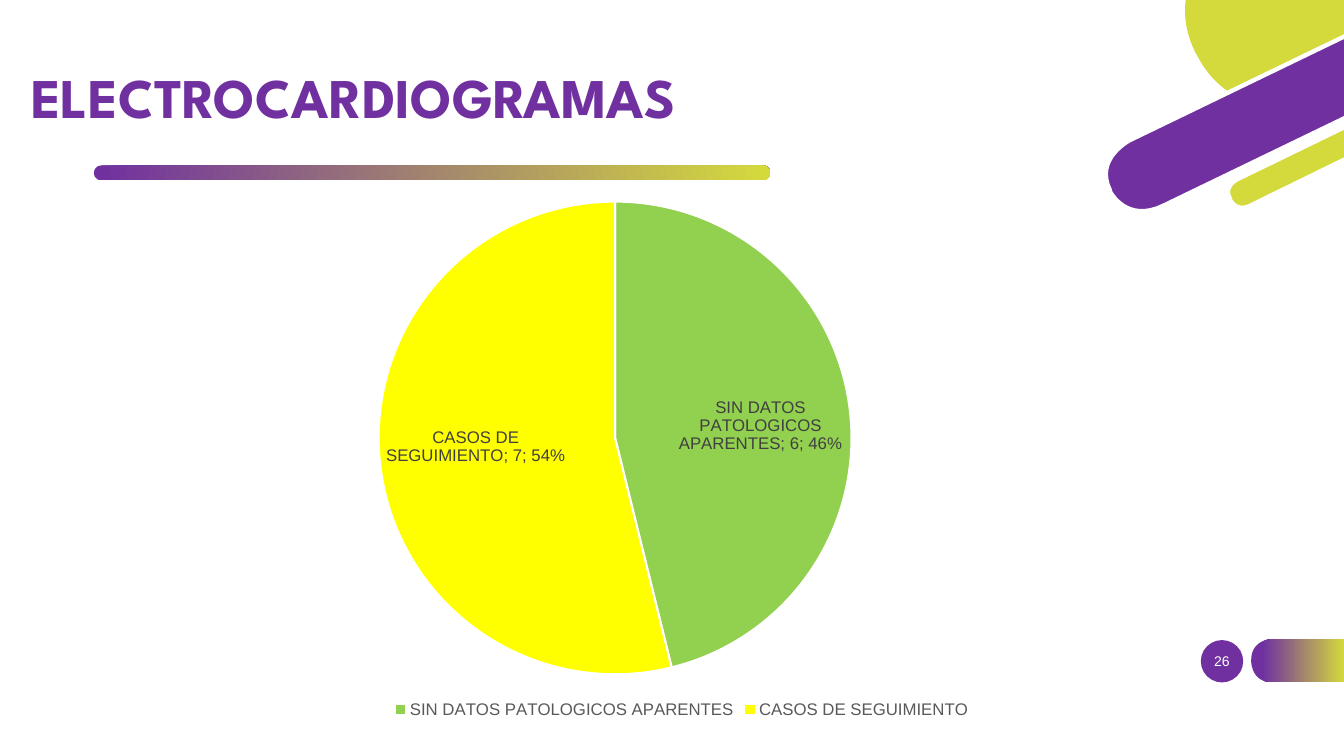
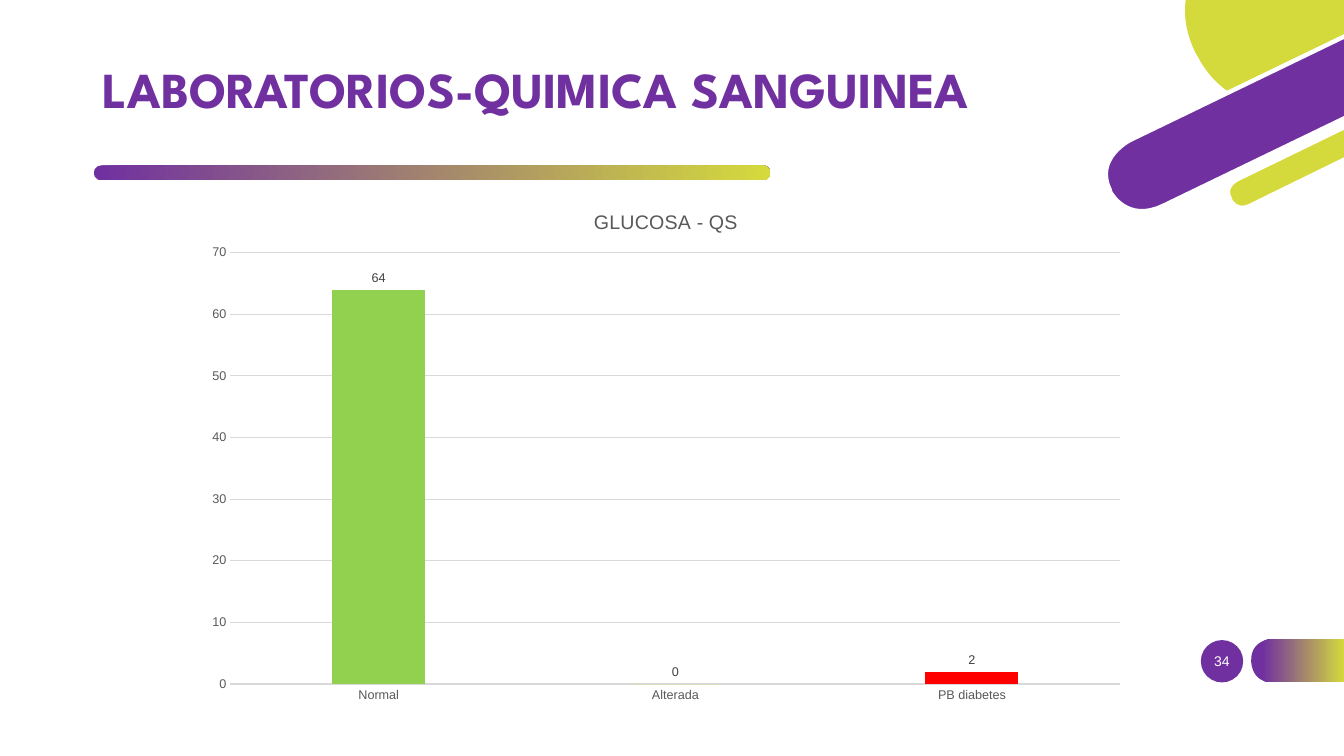
from pptx import Presentation
from pptx.chart.data import CategoryChartData
from pptx.dml.color import RGBColor
from pptx.enum.chart import (XL_CHART_TYPE, XL_LABEL_POSITION, XL_LEGEND_POSITION,
                             XL_TICK_MARK)
from pptx.enum.shapes import MSO_SHAPE
from pptx.enum.text import MSO_ANCHOR, PP_ALIGN
from pptx.oxml import parse_xml
from pptx.oxml.ns import nsdecls, qn
from pptx.util import Inches, Pt

PURPLE = RGBColor(0x70, 0x30, 0xA0)
LIME = RGBColor(0xD5, 0xDA, 0x3C)
WHITE = RGBColor(0xFF, 0xFF, 0xFF)
GREEN = RGBColor(0x92, 0xD0, 0x50)
YELLOW = RGBColor(0xFF, 0xFF, 0x00)
RED = RGBColor(0xFF, 0x00, 0x00)
LABEL_GRAY = RGBColor(0x40, 0x40, 0x40)
TEXT_GRAY = RGBColor(0x59, 0x59, 0x59)
GRID_GRAY = RGBColor(0xD9, 0xD9, 0xD9)

TITLE_FONT = "League Spartan"
BODY_FONT = "Arial"

PIE = XL_CHART_TYPE.PIE
COLUMNS = XL_CHART_TYPE.COLUMN_CLUSTERED
BEST_FIT = XL_LABEL_POSITION.BEST_FIT
OUTSIDE_END = XL_LABEL_POSITION.OUTSIDE_END
LEGEND_BOTTOM = XL_LEGEND_POSITION.BOTTOM
NO_TICK = XL_TICK_MARK.NONE
ELLIPSE = MSO_SHAPE.OVAL
ROUNDED = MSO_SHAPE.ROUNDED_RECTANGLE
MIDDLE = MSO_ANCHOR.MIDDLE
CENTER = PP_ALIGN.CENTER

CURVE_STEPS = 16

# Outlines in inches: pairs are line ends, sextuples are cubic curves.
CORNER_DISC = [(0.88, 0.56), (0.88, 0.56, 0.97, 0.76, 1.17, 0.9), (2.33, 0.34), (2.33, 0),
               (0.76, 0), (0.74, 0.15, 0.76, 0.33, 0.86, 0.53)]
WIDE_BAR = [(0.21, 1.39), (0.21, 1.39, -0.15, 1.57, 0.01, 1.89), (0.01, 1.9),
            (0.01, 1.9, 0.17, 2.22, 0.54, 2.04), (2.36, 1.16), (2.36, 0.35)]
NARROW_BAR = [(2.36, 1.25), (1.27, 1.78), (1.27, 1.78, 1.13, 1.85, 1.2, 1.97), (1.2, 1.98),
              (1.2, 1.98, 1.26, 2.11, 1.4, 2.04), (2.36, 1.57)]
EDGE_TAB = [(0.21, 0.43), (0.93, 0.43), (0.93, 0), (0.21, 0), (0.21, 0, 0, 0, 0, 0.21),
            (0, 0.22), (0, 0.22, 0, 0.43, 0.21, 0.43)]


def flatten(outline):
    """Turn the cubic curves of an outline into short straight steps."""
    points = []
    for part in outline:
        if len(part) == 2:
            points.append(part)
            continue
        start, controls = points[-1], (part[0:2], part[2:4], part[4:6])
        for step in range(1, CURVE_STEPS + 1):
            t = step / CURVE_STEPS
            weights = ((1 - t) ** 3, 3 * t * (1 - t) ** 2, 3 * t * t * (1 - t), t ** 3)
            points.append(tuple(
                sum(w * p[axis] for w, p in zip(weights, (start, *controls)))
                for axis in (0, 1)))
    return points


def add_outline(slide, left, top, outline):
    points = [(Inches(left + x), Inches(top + y)) for x, y in flatten(outline)]
    builder = slide.shapes.build_freeform(*points[0], scale=1.0)
    builder.add_line_segments(points[1:], close=True)
    shape = builder.convert_to_shape()
    shape.shadow.inherit = False
    shape.line.fill.background()
    return shape


def paint_solid(fill, color):
    fill.solid()
    fill.fore_color.rgb = color


def paint_gradient(fill, start=0.0):
    """Purple to lime, left to right."""
    fill.gradient()
    fill.gradient_angle = 0
    for stop, position, color in zip(fill.gradient_stops, (start, 1.0), (PURPLE, LIME)):
        stop.position = position
        stop.color.rgb = color


def style_font(font, size, color):
    font.name = BODY_FONT
    font.size = Pt(size)
    font.bold = False
    font.color.rgb = color


def add_corner(slide, left, top):
    disc = add_outline(slide, left, top, CORNER_DISC)
    paint_solid(disc.fill, LIME)
    for outline, color in ((WIDE_BAR, PURPLE), (NARROW_BAR, LIME)):
        bar = add_outline(slide, left, top, outline)
        paint_solid(bar.fill, color)
        paint_solid(bar.line.fill, WHITE)
        bar.line.width = Pt(3)


def add_underline(slide, left, top, width, height):
    underline = slide.shapes.add_shape(
        ROUNDED, Inches(left), Inches(top), Inches(width), Inches(height))
    underline.adjustments[0] = 0.5
    underline.shadow.inherit = False
    underline.line.fill.background()
    paint_gradient(underline.fill)


def add_page_mark(slide, left, top, number):
    badge = slide.shapes.add_shape(
        ELLIPSE, Inches(left), Inches(top), Inches(0.42), Inches(0.42))
    badge.shadow.inherit = False
    badge.line.fill.background()
    paint_solid(badge.fill, PURPLE)
    frame = badge.text_frame
    frame.margin_left = frame.margin_right = frame.margin_top = frame.margin_bottom = 0
    frame.vertical_anchor = MIDDLE
    frame.word_wrap = False
    paragraph = frame.paragraphs[0]
    paragraph.alignment = CENTER
    run = paragraph.add_run()
    run.text = str(number)
    style_font(run.font, 10, WHITE)
    tab = add_outline(slide, left + 0.5, top - 0.01, EDGE_TAB)
    paint_gradient(tab.fill, 0.12)


def add_title(slide, left, top, text, size):
    box = slide.shapes.add_textbox(Inches(left), Inches(top), Inches(9.9), Inches(1.03))
    frame = box.text_frame
    frame.word_wrap = True
    frame.vertical_anchor = MIDDLE
    paragraph = frame.paragraphs[0]
    paragraph.line_spacing = 0.9
    run = paragraph.add_run()
    run.text = text
    run.font.name = TITLE_FONT
    run.font.size = Pt(size)
    run.font.bold = True
    paint_gradient(run.font.fill)


def add_base_slide(deck, number):
    slide = deck.slides.add_slide(deck.slide_layouts[6])
    add_corner(slide, 11, 0)
    add_underline(slide, 0.93, 1.64, 6.71, 0.15)
    add_page_mark(slide, 11.91, 6.35, number)
    return slide


def set_plot_box(chart, x, y, width, height):
    """Fix the inner plot area, in fractions of the chart."""
    plot_area = chart._chartSpace.chart.plotArea
    for layout in plot_area.findall(qn("c:layout")):
        plot_area.remove(layout)
    sizes = "".join(f'<c:{tag} val="{value}"/>' for tag, value in
                    zip("xywh", (x, y, width, height)))
    plot_area.insert(0, parse_xml(
        f'<c:layout {nsdecls("c")}><c:manualLayout><c:layoutTarget val="inner"/>'
        f'<c:xMode val="edge"/><c:yMode val="edge"/>{sizes}</c:manualLayout></c:layout>'))


def add_one_series_chart(slide, kind, box, counts, colors, label_size, label_position):
    data = CategoryChartData()
    data.categories = list(counts)
    data.add_series("Series 1", list(counts.values()))
    chart = slide.shapes.add_chart(kind, *map(Inches, box), data).chart
    style_font(chart.font, label_size, TEXT_GRAY)
    series = chart.plots[0].series[0]
    for index, color in enumerate(colors):
        paint_solid(series.points[index].format.fill, color)
    labels = series.data_labels
    style_font(labels.font, label_size, LABEL_GRAY)
    labels.show_value = True
    labels.position = label_position
    return chart


def add_pie(slide, box, counts, colors):
    chart = add_one_series_chart(slide, PIE, box, counts, colors, 12, BEST_FIT)
    chart.has_title = False
    chart.has_legend = True
    chart.legend.position = LEGEND_BOTTOM
    chart.legend.include_in_layout = False
    style_font(chart.legend.font, 12, TEXT_GRAY)
    chart.plots[0].vary_by_categories = True
    series = chart.plots[0].series[0]
    for index in range(len(counts)):
        border = series.points[index].format.line
        paint_solid(border.fill, WHITE)
        border.width = Pt(1.5)
    labels = series.data_labels
    labels.show_category_name = True
    labels.show_percentage = True
    labels._element.find(qn("c:showBubbleSize")).addnext(
        parse_xml(f'<c:separator {nsdecls("c")}>; </c:separator>'))
    set_plot_box(chart, 0.18, 0.03, 0.5, 0.88)


def add_columns(slide, box, heading, counts, colors):
    chart = add_one_series_chart(slide, COLUMNS, box, counts, colors, 9, OUTSIDE_END)
    chart.has_legend = False
    chart.has_title = True
    run = chart.chart_title.text_frame.paragraphs[0].add_run()
    run.text = heading
    style_font(run.font, 14, TEXT_GRAY)
    plot = chart.plots[0]
    plot.vary_by_categories = False
    plot.gap_width = 219
    plot.overlap = -27
    paint_solid(plot.series[0].format.fill, PURPLE)
    for axis in (chart.category_axis, chart.value_axis):
        axis.major_tick_mark = axis.minor_tick_mark = NO_TICK
        style_font(axis.tick_labels.font, 9, TEXT_GRAY)
    scale = chart.value_axis
    scale.minimum_scale, scale.maximum_scale, scale.major_unit = 0, 70, 10
    scale.format.line.fill.background()
    for line in (chart.category_axis.format.line, scale.major_gridlines.format.line):
        paint_solid(line.fill, GRID_GRAY)
        line.width = Pt(0.75)
    set_plot_box(chart, 0.04, 0.12, 0.94, 0.82)


def add_electrocardiograms(deck):
    slide = add_base_slide(deck, 26)
    add_title(slide, 0.21, 0.48, "ELECTROCARDIOGRAMAS", 40)
    add_pie(slide, (2.02, 1.84, 9.49, 5.33),
            {"SIN DATOS PATOLOGICOS APARENTES": 6, "CASOS DE SEGUIMIENTO": 7},
            (GREEN, YELLOW))


def add_blood_chemistry(deck):
    slide = add_base_slide(deck, 34)
    add_title(slide, 0.92, 0.4, "LABORATORIOS-QUIMICA SANGUINEA", 36)
    add_columns(slide, (1.91, 1.88, 9.39, 5.22), "GLUCOSA - QS",
                {"Normal": 64, "Alterada": 0, "PB diabetes": 2},
                (GREEN, YELLOW, RED))


def main():
    deck = Presentation()
    deck.slide_width, deck.slide_height = Inches(13.33), Inches(7.5)
    add_electrocardiograms(deck)
    add_blood_chemistry(deck)
    deck.save("out.pptx")


if __name__ == "__main__":
    main()
